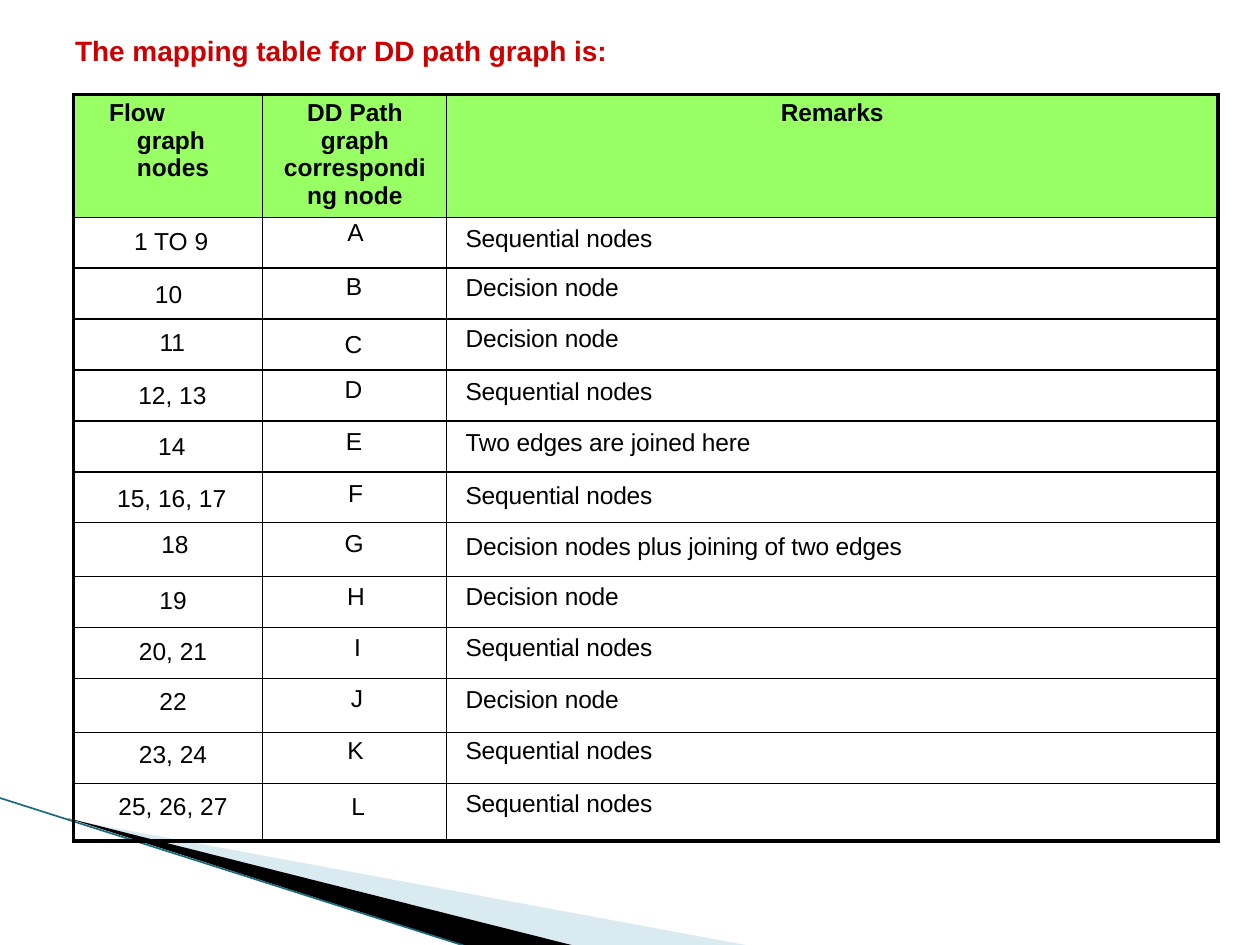
from dataclasses import dataclass

from pptx import Presentation
from pptx.dml.color import RGBColor
from pptx.enum.shapes import MSO_CONNECTOR
from pptx.enum.text import MSO_ANCHOR, MSO_AUTO_SIZE, PP_ALIGN
from pptx.oxml.ns import qn
from pptx.util import Pt
from lxml import etree

LEFT, CENTER, RIGHT = PP_ALIGN.LEFT, PP_ALIGN.CENTER, PP_ALIGN.RIGHT
TOP = MSO_ANCHOR.TOP
STRAIGHT = MSO_CONNECTOR.STRAIGHT
FIT_SHAPE = MSO_AUTO_SIZE.SHAPE_TO_FIT_TEXT

FONT = "Arial"
BLACK = "000000"
HEADER_FILL = "98FF65"
THIN, THICK = 1, 2.25
COLUMN_WIDTHS = (108, 105, 441)
HEADER_HEIGHT = 67.8


@dataclass
class Wedge:
    frame: tuple[float, float, float, float]
    points: list[tuple[float, float]]
    color: str
    opacity: int = 100


@dataclass
class CellText:
    text: str
    align: PP_ALIGN
    top: float
    left: float = 0
    right: float = 0
    hanging: float = 0
    line_height: float | None = None
    bold: bool = False
    spacing: float = 0


@dataclass
class NodeRow:
    nodes: str
    path_node: str
    remark: str
    tops: tuple[float, float, float]
    indent: float
    path_right: float = 48
    height: float = 29.1
    line_height: float | None = None

    def cells(self) -> list[CellText]:
        return [
            CellText(self.nodes, CENTER, self.tops[0], left=self.indent),
            CellText(self.path_node, RIGHT, self.tops[1], right=self.path_right,
                     line_height=self.line_height),
            CellText(self.remark, LEFT, self.tops[2], left=11, spacing=-0.1),
        ]


WEDGES = [
    Wedge((56.2, 393.8, 299.5, 113.8),
          [(39.6, 468.4), (428.4, 540.4), (328.3, 540.4)], "A0CBDC", 40),
    Wedge((-4.3, 455.8, 299.5, 66.2),
          [(38.4, 467.4), (329, 540.6), (267.8, 541)], BLACK),
]

HEADER = [
    CellText("Flow graph nodes", LEFT, 2.9, left=36.2, right=21.6, hanging=-15.8, bold=True),
    CellText("DD Path graph corresponding node", CENTER, 2.9, left=8.6, right=8, bold=True),
    CellText("Remarks", CENTER, 2.9, bold=True, spacing=-0.1),
]

SEQUENTIAL = "Sequential nodes"
DECISION = "Decision node"

ROWS = [
    NodeRow("1 TO 9", "A", SEQUENTIAL, (6.5, 1.4, 4.3), 3.6, 47.2),
    NodeRow("10", "B", DECISION, (7.2, 2.9, 3.6), 0.7),
    NodeRow("11", "C", DECISION, (5.8, 3.6, 3.6), 5, line_height=19.1),
    NodeRow("12, 13", "D", SEQUENTIAL, (7.2, 3.6, 5), 5),
    NodeRow("14", "E", "Two edges are joined here", (7.2, 4.3, 5), 4.3),
    NodeRow("15, 16, 17", "F", SEQUENTIAL, (7.9, 5, 5.8), 4.3, 47.5),
    NodeRow("18", "G", "Decision nodes plus joining of two edges",
            (5, 4.3, 5.8), 7.9, 47.2, height=30.9),
    NodeRow("19", "H", DECISION, (5.8, 3.6, 3.6), 5.8, 46.5),
    NodeRow("20, 21", "I", SEQUENTIAL, (5.8, 3.6, 3.6), 5.8, 48.8),
    NodeRow("22", "J", DECISION, (5.8, 3.6, 4.3), 5.8, 47.5, height=30.9),
    NodeRow("23, 24", "K", SEQUENTIAL, (5, 2.9, 2.9), 5.8, 47.2),
    NodeRow("25, 26, 27", "L", SEQUENTIAL, (5.8, 5.8, 3.6), 5.8, 46.5, height=32.9),
]


def rgb(value: str) -> RGBColor:
    return RGBColor.from_string(value)


def add_run(p, text: str, size: float, color: str, bold: bool, spacing: float = 0) -> None:
    r = p.add_run()
    r.text = text
    r.font.name = FONT
    r.font.size = Pt(size)
    r.font.bold = bold
    r.font.color.rgb = rgb(color)
    if spacing:
        r._r.get_or_add_rPr().set("spc", str(round(spacing * 100)))


def set_frame(sp, frame: tuple[float, float, float, float]) -> None:
    left, top, width, height = (Pt(v) for v in frame)
    dx, dy = sp.left - left, sp.top - top
    outline = next(sp._element.iter(qn("a:path")))
    outline.set("w", str(width))
    outline.set("h", str(height))
    for pt in outline.iter(qn("a:pt")):
        pt.set("x", str(int(pt.get("x")) + dx))
        pt.set("y", str(int(pt.get("y")) + dy))
    sp.left, sp.top, sp.width, sp.height = left, top, width, height


def draw_wedge(slide, wedge: Wedge) -> None:
    points = [(Pt(x), Pt(y)) for x, y in wedge.points]
    builder = slide.shapes.build_freeform(*points[0], scale=1.0)
    builder.add_line_segments(points[1:], close=True)
    sp = builder.convert_to_shape()
    set_frame(sp, wedge.frame)
    sp.shadow.inherit = False
    sp.line.fill.background()
    sp.fill.solid()
    sp.fill.fore_color.rgb = rgb(wedge.color)
    if wedge.opacity < 100:
        color = sp.fill._xPr.find(qn("a:solidFill"))[0]
        etree.SubElement(color, qn("a:alpha"), val=str(wedge.opacity * 1000))


def draw_edge(slide) -> None:
    line = slide.shapes.add_connector(STRAIGHT, Pt(-0.7), Pt(455.8), Pt(267.1), Pt(541))
    line.line.color.rgb = rgb("1B6B80")
    line.line.width = Pt(0.95)
    etree.SubElement(line._element.spPr, qn("a:effectLst"))


def set_borders(cell, widths: dict[str, float]) -> None:
    tc_pr = cell._tc.get_or_add_tcPr()
    for side, width in widths.items():
        ln = etree.SubElement(tc_pr, qn(f"a:ln{side}"), w=str(Pt(width)))
        fill = etree.SubElement(ln, qn("a:solidFill"))
        etree.SubElement(fill, qn("a:srgbClr"), val=BLACK)


def fill_cell(cell, content: CellText) -> None:
    cell.margin_left = cell.margin_bottom = 0
    cell.margin_right, cell.margin_top = Pt(content.right), Pt(content.top)
    cell.vertical_anchor = TOP
    p = cell.text_frame.paragraphs[0]
    p.alignment = content.align
    if content.line_height:
        p.line_spacing = Pt(content.line_height)
    p_pr = p._p.get_or_add_pPr()
    p_pr.set("marL", str(Pt(content.left)))
    p_pr.set("indent", str(Pt(content.hanging)))
    add_run(p, content.text, 14, BLACK, content.bold, content.spacing)


def draw_table(slide) -> None:
    grid = [HEADER] + [row.cells() for row in ROWS]
    heights = [HEADER_HEIGHT] + [row.height for row in ROWS]
    last_row, last_col = len(grid) - 1, len(COLUMN_WIDTHS) - 1
    table = slide.shapes.add_table(
        len(grid), len(COLUMN_WIDTHS), Pt(42), Pt(54),
        Pt(sum(COLUMN_WIDTHS)), Pt(sum(heights))).table
    table.first_row = table.horz_banding = False
    for column, width in zip(table.columns, COLUMN_WIDTHS):
        column.width = Pt(width)
    for i, (contents, height) in enumerate(zip(grid, heights)):
        table.rows[i].height = Pt(height)
        for j, content in enumerate(contents):
            cell = table.cell(i, j)
            fill_cell(cell, content)
            outer = {"L": j == 0, "R": j == last_col, "T": i == 0, "B": i == last_row}
            set_borders(cell, {s: THICK if edge else THIN for s, edge in outer.items()})
            if i == 0:
                cell.fill.solid()
                cell.fill.fore_color.rgb = rgb(HEADER_FILL)
            else:
                cell.fill.background()


def draw_title(slide) -> None:
    sp = slide.shapes.title
    sp.left, sp.top, sp.width, sp.height = Pt(42), Pt(18), Pt(314), Pt(20)
    tf = sp.text_frame
    tf.word_wrap = True
    tf.auto_size = FIT_SHAPE
    tf.vertical_anchor = TOP
    tf.margin_left = tf.margin_top = Pt(0.9)
    tf.margin_right = tf.margin_bottom = 0
    p = tf.paragraphs[0]
    p.alignment = LEFT
    add_run(p, "The mapping table for DD path graph is:", 16, "CC0000", True)


def main() -> None:
    prs = Presentation()
    prs.slide_width, prs.slide_height = Pt(720), Pt(540)
    slide = prs.slides.add_slide(prs.slide_layouts[5])
    draw_title(slide)
    for wedge in WEDGES:
        draw_wedge(slide, wedge)
    draw_edge(slide)
    draw_table(slide)
    prs.save("out.pptx")


if __name__ == "__main__":
    main()
